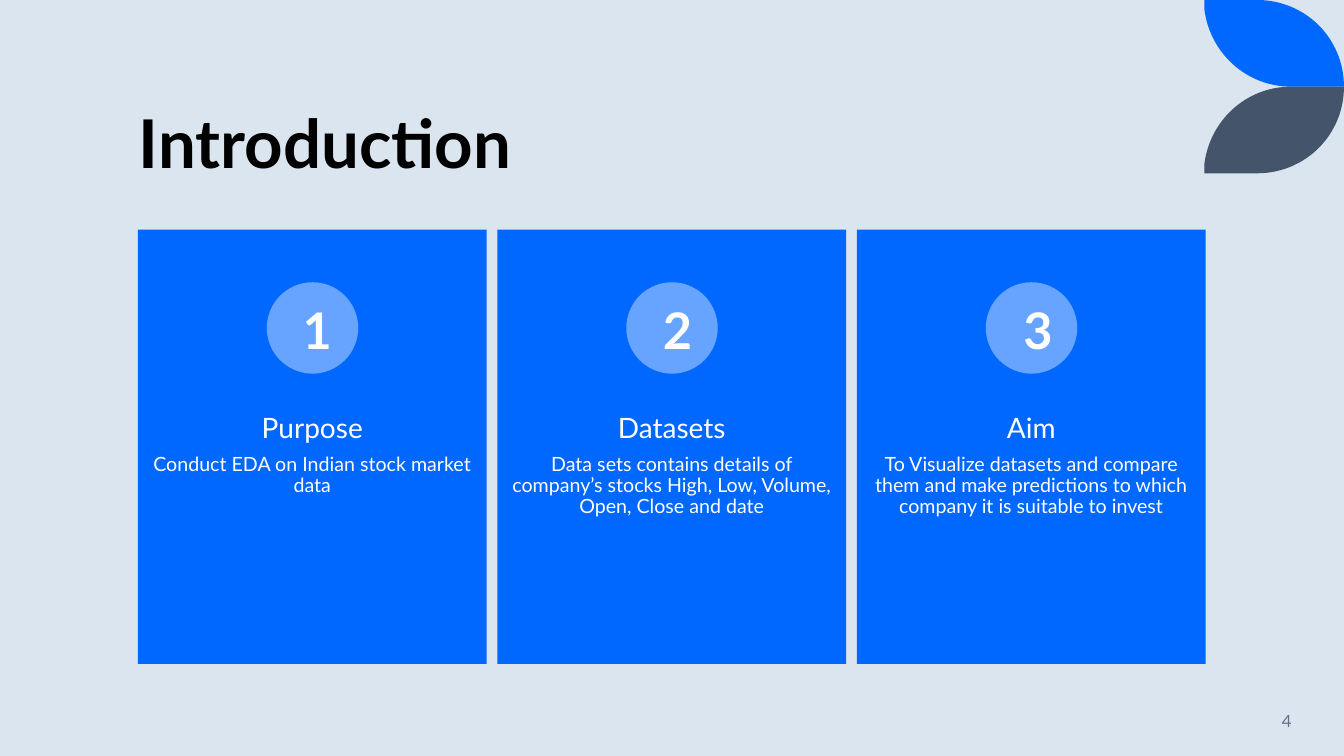
import dataclasses
import typing

import lxml.etree
import pptx
import pptx.dml.color
import pptx.enum.shapes
import pptx.enum.text
import pptx.oxml.ns
import pptx.util

COLUMNS, ROWS = 160, 90
CELL = pptx.util.Inches(7.5) // ROWS
FONT = "Lato"
BLUE, SLATE, PALE_BLUE, WHITE = "0068FF", "44546A", "66A4FF", "FFFFFF"
ALIGN = pptx.enum.text.PP_ALIGN
ANCHOR = pptx.enum.text.MSO_ANCHOR
PRESET = pptx.enum.shapes.MSO_SHAPE


@dataclasses.dataclass(frozen=True)
class Area:
    """A rectangle in grid columns and rows."""
    left: float
    top: float
    width: float
    height: float

    def emu(self) -> list[int]:
        return [cells(v) for v in dataclasses.astuple(self)]


@dataclasses.dataclass(frozen=True)
class Line:
    """One paragraph and its formatting; spacing is None for the default."""
    text: str
    size: float
    color: str
    bold: bool = False
    align: ALIGN = ALIGN.CENTER
    spacing: typing.Optional[float] = None
    after: float = 0


@dataclasses.dataclass(frozen=True)
class Topic:
    heading: str
    detail: str


TOPICS = [
    Topic("Purpose", "Conduct EDA on Indian stock market data"),
    Topic("Datasets", "Data sets contains details of company’s stocks "
          "High, Low, Volume, Open, Close and date"),
    Topic("Aim", "To Visualize datasets and compare them and make "
          "predictions to which company it is suitable to invest"),
]
CARD_LEFT, CARD_PITCH, CARD_WIDTH = 16.42, 42.8, 41.52
NUMBER_LEFT, NUMBER_PITCH = 34.84, 42.9
LEAF_HEIGHT = 10.32
LEAF_OUTLINE = [
    (143.38, 0), (149.64, 0),
    (155.4, 0), (160, 4.56), (160, LEAF_HEIGHT),
    (153.72, LEAF_HEIGHT),
    (148.32, LEAF_HEIGHT), (144, 6.24), (143.38, 1.08),
]
LEAF_CURVES = (1, 5)  # segments where a curve's three points begin


def cells(count: float) -> int:
    return round(count * CELL)


def rgb(color: str) -> pptx.dml.color.RGBColor:
    return pptx.dml.color.RGBColor.from_string(color)


def paint(shape, color: str) -> None:
    shape.shadow.inherit = False
    shape.fill.solid()
    shape.fill.fore_color.rgb = rgb(color)
    shape.line.fill.background()


def add_block(shapes, preset: PRESET, area: Area, color: str) -> None:
    paint(shapes.add_shape(preset, *area.emu()), color)


def add_text(shapes, area: Area, lines: list[Line], anchor: ANCHOR = ANCHOR.TOP,
             inset_x: float = 0.1, inset_y: float = 0.05) -> None:
    """Place lines in a wrapping box; insets are in inches."""
    frame = shapes.add_textbox(*area.emu()).text_frame
    frame.word_wrap = True
    frame.vertical_anchor = anchor
    frame.margin_left = frame.margin_right = pptx.util.Inches(inset_x)
    frame.margin_top = frame.margin_bottom = pptx.util.Inches(inset_y)
    for index, line in enumerate(lines):
        paragraph = frame.add_paragraph() if index else frame.paragraphs[0]
        paragraph.alignment = line.align
        paragraph.line_spacing = line.spacing
        paragraph.space_after = pptx.util.Pt(line.after)
        run = paragraph.add_run()
        run.text = line.text
        run.font.name = FONT
        run.font.size = pptx.util.Pt(line.size)
        run.font.bold = line.bold
        run.font.color.rgb = rgb(line.color)


def add_leaf(shapes, color: str, mirrored: bool) -> None:
    """Draw a corner leaf, mirrored below the first one if asked."""
    points = [(cells(x), cells(2 * LEAF_HEIGHT - y if mirrored else y))
              for x, y in LEAF_OUTLINE]
    builder = shapes.build_freeform(*points[0])
    builder.add_line_segments(points[1:], close=True)
    leaf = builder.convert_to_shape()
    qn = pptx.oxml.ns.qn
    segments = list(leaf.element.iter(qn("a:lnTo")))
    for first in LEAF_CURVES:
        curve = lxml.etree.Element(qn("a:cubicBezTo"))
        segments[first].addprevious(curve)
        for segment in segments[first:first + 3]:
            curve.append(segment[0])
            segment.getparent().remove(segment)
    paint(leaf, color)


def add_card(shapes, index: int, topic: Topic) -> None:
    left = CARD_LEFT + index * CARD_PITCH
    add_block(shapes, PRESET.RECTANGLE, Area(left, 27.34, CARD_WIDTH, 51.7), BLUE)
    add_text(shapes, Area(left, 48, CARD_WIDTH, 20.64), [
        Line(topic.heading, 20, WHITE, spacing=0.9, after=7),
        Line(topic.detail, 14, WHITE, spacing=0.9, after=2),
    ], inset_x=0.11, inset_y=0.11)
    add_block(shapes, PRESET.OVAL, Area(left + 15.34, 33.6, 10.88, 10.88), PALE_BLUE)


def main() -> None:
    deck = pptx.Presentation()
    deck.slide_width, deck.slide_height = COLUMNS * CELL, ROWS * CELL
    slide = deck.slides.add_slide(deck.slide_layouts[6])
    slide.background.fill.solid()
    slide.background.fill.fore_color.rgb = rgb("DAE5EF")

    leaves = slide.shapes.add_group_shape().shapes
    add_leaf(leaves, BLUE, mirrored=False)
    add_leaf(leaves, SLATE, mirrored=True)
    add_text(slide.shapes, Area(15.36, 5.04, 128.28, 17.32),
             [Line("Introduction", 48, "000000", bold=True, align=ALIGN.LEFT, spacing=0.9)],
             anchor=ANCHOR.BOTTOM)
    cards = slide.shapes.add_group_shape().shapes
    for index, topic in enumerate(TOPICS):
        add_card(cards, index, topic)
    for index in range(len(TOPICS)):
        add_text(slide.shapes, Area(NUMBER_LEFT + index * NUMBER_PITCH, 35.04, 4.56, 8.52),
                 [Line(str(index + 1), 36, WHITE, bold=True)])
    add_text(slide.shapes, Area(133.2, 83.4, 21.76, 4.8),
             [Line("4", 12, "637183", align=ALIGN.RIGHT)], anchor=ANCHOR.MIDDLE)
    deck.save("out.pptx")


if __name__ == "__main__":
    main()
